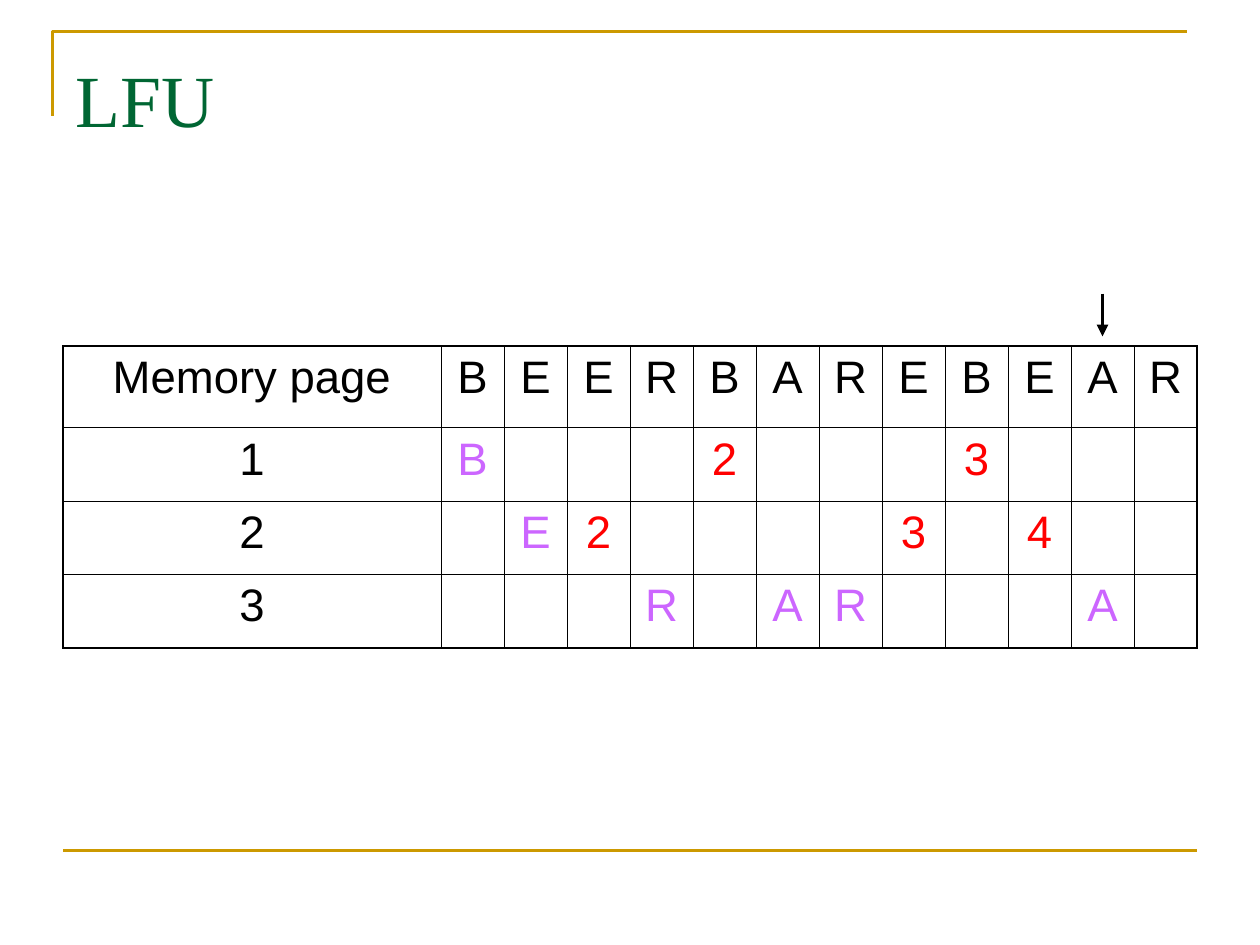
from lxml.etree import SubElement
from pptx import Presentation
from pptx.dml.color import RGBColor
from pptx.enum.shapes import MSO_CONNECTOR
from pptx.enum.text import MSO_ANCHOR, PP_ALIGN
from pptx.oxml.ns import qn
from pptx.util import Cm, Pt

BLACK = RGBColor(0x00, 0x00, 0x00)
GREEN = RGBColor(0x00, 0x66, 0x33)
GOLD = RGBColor(0xCC, 0x99, 0x00)
PURPLE = RGBColor(0xCC, 0x66, 0xFF)
RED = RGBColor(0xFF, 0x00, 0x00)

REFERENCES = "BEERBAREBEAR"
# One character per reference: a letter loads a page, a digit counts its uses.
FRAMES = ["B...2...3...", ".E2....3.4..", "...R.AR...A."]

LEFT, WIDTH = 1.27, 22.86
TABLE_TOP = 6.98
LABEL_WIDTH, STEP = 7.62, 1.27
HEADER_HEIGHT, FRAME_HEIGHT = 1.64, 1.48
CURRENT_REFERENCE = 10


def apply(target, values):
    for name, value in values.items():
        setattr(target, name, value)


class SlideBuilder:
    title_font = {"name": "Times New Roman", "size": Pt(42), "bold": False}
    cell_font = {"name": "Arial", "size": Pt(26), "bold": False}
    thin, thick = Pt(0.45), Pt(1.08)

    def __init__(self, slide):
        self.slide = slide

    def title(self, text, left, top, width, height):
        shape = self.slide.shapes.title
        apply(shape, {"left": Cm(left), "top": Cm(top),
                      "width": Cm(width), "height": Cm(height)})
        frame = shape.text_frame
        frame.text = text
        apply(frame, {"vertical_anchor": MSO_ANCHOR.TOP, "margin_top": Cm(0.32)})
        paragraph = frame.paragraphs[0]
        paragraph.alignment = PP_ALIGN.LEFT
        apply(paragraph.font, self.title_font)
        paragraph.font.color.rgb = GREEN

    def corner(self, points):
        start, *rest = [(Cm(x), Cm(y)) for x, y in points]
        builder = self.slide.shapes.build_freeform(*start)
        builder.add_line_segments(rest, close=False)
        shape = builder.convert_to_shape()
        shape.shadow.inherit = False
        shape.fill.background()
        shape.line.color.rgb = GOLD
        shape.line.width = Pt(1.5)

    def line(self, start, end, color, width, arrow=False):
        connector = self.slide.shapes.add_connector(
            MSO_CONNECTOR.STRAIGHT, *(Cm(value) for value in (*start, *end)))
        connector.line.color.rgb = color
        connector.line.width = Pt(width)
        if arrow:
            SubElement(connector.line._get_or_add_ln(), qn("a:tailEnd"), type="triangle")
        SubElement(connector._element.spPr, qn("a:effectLst"))

    def table(self, rows, left, top, widths, heights):
        table = self.slide.shapes.add_table(
            len(rows), len(widths), Cm(left), Cm(top),
            Cm(sum(widths)), Cm(sum(heights))).table
        apply(table, {"first_row": False, "horz_banding": False})
        for column, width in zip(table.columns, widths):
            column.width = Cm(width)
        for row, height in zip(table.rows, heights):
            row.height = Cm(height)
        last_row, last_column = len(rows) - 1, len(widths) - 1
        for i, row in enumerate(rows):
            for j, (text, color) in enumerate(row):
                cell = table.cell(i, j)
                outer = {"L": j == 0, "R": j == last_column,
                         "T": i == 0, "B": i == last_row}
                self.borders(cell, outer)
                cell.fill.background()
                self.cell_text(cell, text, color)

    def borders(self, cell, outer):
        properties = cell._tc.get_or_add_tcPr()
        for side, is_outer in outer.items():
            width = self.thick if is_outer else self.thin
            border = SubElement(properties, qn(f"a:ln{side}"), w=str(int(width)))
            fill = SubElement(border, qn("a:solidFill"))
            SubElement(fill, qn("a:srgbClr"), val=str(BLACK))

    def cell_text(self, cell, text, color):
        cell.text = text
        paragraph = cell.text_frame.paragraphs[0]
        paragraph.alignment = PP_ALIGN.CENTER
        apply(paragraph.font, self.cell_font)
        paragraph.font.color.rgb = color


def frame_cell(mark):
    if mark == ".":
        return "", BLACK
    return mark, RED if mark.isdigit() else PURPLE


def main():
    presentation = Presentation()
    apply(presentation, {"slide_width": Cm(25.4), "slide_height": Cm(19.05)})
    slide = presentation.slides.add_slide(presentation.slide_layouts[5])
    builder = SlideBuilder(slide)

    builder.corner([(1.06, 2.33), (1.06, 0.64), (23.92, 0.64)])
    builder.line((LEFT, 17.15), (LEFT + WIDTH, 17.15), GOLD, 1.5)
    builder.title("LFU", LEFT, 0.76, WIDTH, 3.18)

    rows = [[(text, BLACK) for text in ("Memory page", *REFERENCES)]]
    for number, marks in enumerate(FRAMES, start=1):
        rows.append([(str(number), BLACK), *map(frame_cell, marks)])
    builder.table(rows, LEFT, TABLE_TOP,
                  [LABEL_WIDTH] + [STEP] * len(REFERENCES),
                  [HEADER_HEIGHT] + [FRAME_HEIGHT] * len(FRAMES))

    arrow_x = LEFT + LABEL_WIDTH + (CURRENT_REFERENCE + 0.5) * STEP
    builder.line((arrow_x, 5.92), (arrow_x, 6.78), BLACK, 2.25, arrow=True)

    presentation.save("out.pptx")


if __name__ == "__main__":
    main()
